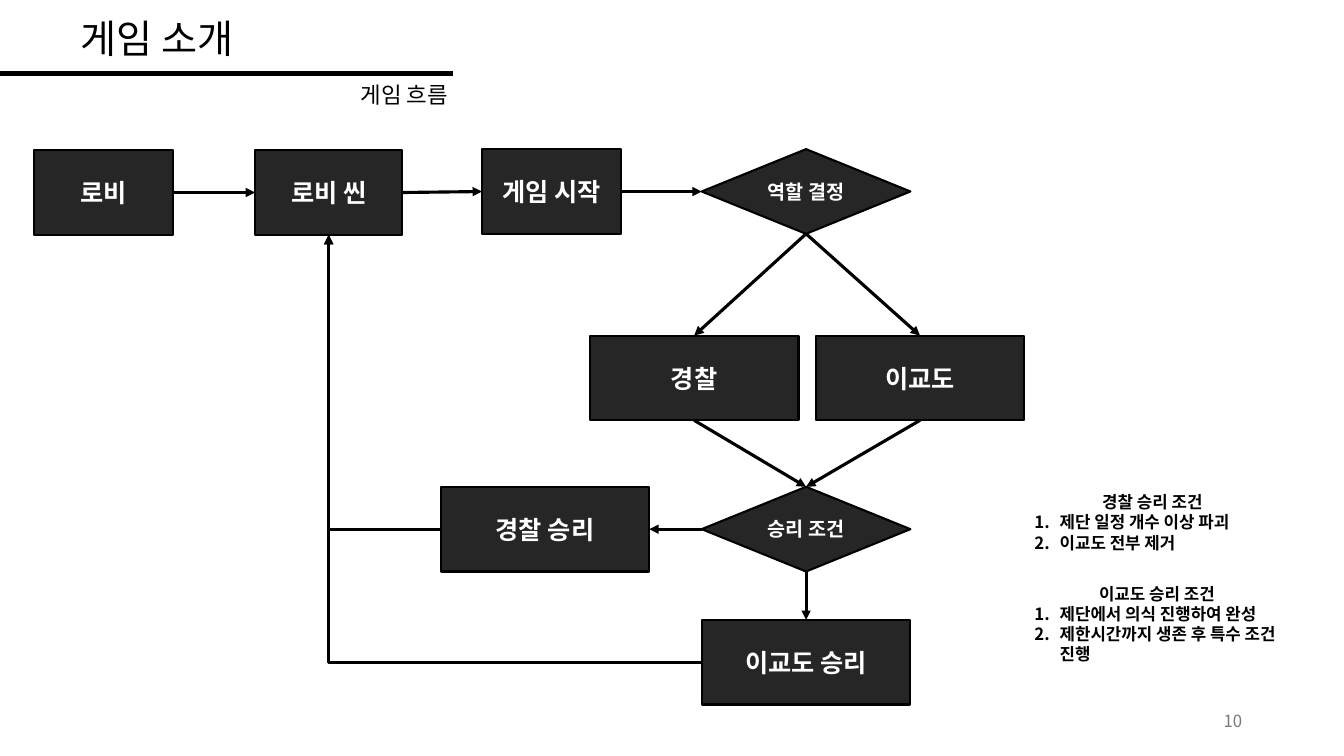
from lxml import etree
from pptx import Presentation
from pptx.dml.color import RGBColor
from pptx.enum.shapes import MSO_CONNECTOR, MSO_SHAPE
from pptx.enum.text import MSO_ANCHOR, MSO_AUTO_SIZE, PP_ALIGN
from pptx.oxml.ns import qn
from pptx.util import Inches, Pt

FONT = "Noto Sans CJK KR"
TOP, LEFT, BOTTOM, RIGHT = range(4)  # connection sites of boxes and diamonds


def add_text(paragraph, text, size, color, bold=False, align=PP_ALIGN.LEFT):
    paragraph.alignment = align
    paragraph.space_before = Pt(0)
    run = paragraph.add_run()
    run.text = text
    run.font.size = Pt(size)
    run.font.bold = bold
    run.font.color.rgb = RGBColor.from_string(color)
    run.font.name = FONT
    etree.SubElement(run.font._element, qn("a:ea"), typeface=FONT)


def add_line(kind, start, end, width, arrow=True):
    points = [Inches(value) for value in (*start, *end)]
    connector = slide.shapes.add_connector(kind, *points)
    connector.line.width = Pt(width)
    connector.line.color.rgb = RGBColor.from_string("000000")
    if arrow:
        etree.SubElement(connector.line._get_or_add_ln(), qn("a:tailEnd"), type="triangle")
    etree.SubElement(connector._element.spPr, qn("a:effectLst"))
    return connector


presentation = Presentation()
presentation.slide_width, presentation.slide_height = Inches(13.33), Inches(7.5)
slide = presentation.slides.add_slide(presentation.slide_layouts[3])  # title, two lists

# Heading
add_line(MSO_CONNECTOR.STRAIGHT, (0, 0.73), (4.49, 0.73), 3, arrow=False)
title = slide.shapes.title
title.left, title.top, title.width, title.height = map(Inches, (0.7, 0.09, 3.36, 0.57))
title.text_frame.vertical_anchor = MSO_ANCHOR.TOP
title.text_frame.auto_size = MSO_AUTO_SIZE.NONE
add_text(title.text_frame.paragraphs[0], "게임 소개", 28, "000000")

# Subtitle and page number
for text, box, size, color, align, anchor in (
    ("게임 흐름", (3.48, 0.76, 1.18, 0.37), 16, "000000", PP_ALIGN.LEFT, MSO_ANCHOR.TOP),
    ("10", (9.42, 6.95, 3, 0.4), 12, "797979", PP_ALIGN.RIGHT, MSO_ANCHOR.MIDDLE),
):
    label = slide.shapes.add_textbox(*map(Inches, box))
    label.text_frame.word_wrap = True
    label.text_frame.vertical_anchor = anchor
    add_text(label.text_frame.paragraphs[0], text, size, color, align=align)

# Flow steps: name, left, top, width
steps = {}
for name, left, top, width in (
    ("로비", 0.34, 1.49, 1.38),
    ("로비 씬", 2.53, 1.49, 1.46),
    ("게임 시작", 4.78, 1.48, 1.38),
    ("역할 결정", 6.96, 1.48, 2.07),
    ("경찰", 5.85, 3.33, 2.07),
    ("이교도", 8.09, 3.33, 2.07),
    ("승리 조건", 6.96, 4.83, 2.07),
    ("경찰 승리", 4.37, 4.83, 2.07),
    ("이교도 승리", 6.96, 6.15, 2.07),
):
    decision = name in ("역할 결정", "승리 조건")
    shape = slide.shapes.add_shape(
        MSO_SHAPE.DIAMOND if decision else MSO_SHAPE.RECTANGLE,
        Inches(left), Inches(top), Inches(width), Inches(0.84))
    shape.shadow.inherit = False
    shape.fill.solid()
    shape.fill.fore_color.rgb = RGBColor.from_string("262626")
    shape.line.color.rgb = RGBColor.from_string("000000")
    shape.line.width = Pt(1.5)
    shape.text_frame.vertical_anchor = MSO_ANCHOR.MIDDLE
    add_text(shape.text_frame.paragraphs[0], name, 14 if decision else 18,
             "FFFFFF", True, PP_ALIGN.CENTER)
    steps[name] = shape

# Straight arrows between steps
for source, source_site, target, target_site in (
    ("로비", RIGHT, "로비 씬", LEFT),
    ("로비 씬", RIGHT, "게임 시작", LEFT),
    ("게임 시작", RIGHT, "역할 결정", LEFT),
    ("역할 결정", BOTTOM, "경찰", TOP),
    ("역할 결정", BOTTOM, "이교도", TOP),
    ("경찰", BOTTOM, "승리 조건", TOP),
    ("이교도", BOTTOM, "승리 조건", TOP),
    ("승리 조건", LEFT, "경찰 승리", RIGHT),
    ("승리 조건", BOTTOM, "이교도 승리", TOP),
):
    arrow = add_line(MSO_CONNECTOR.STRAIGHT, (0, 0), (1, 1), 2.25)
    arrow.begin_connect(steps[source], source_site)
    arrow.end_connect(steps[target], target_site)

# Bent arrows back to the lobby scene: a half turn puts the start at bottom right
for corner in ((6.96, 6.57), (4.37, 5.25)):
    arrow = add_line(MSO_CONNECTOR.ELBOW, (3.26, 2.33), corner, 2.25)
    arrow._element.spPr.find(qn("a:prstGeom")).set("prst", "bentConnector2")
    arrow._element.spPr.find(qn("a:xfrm")).set("rot", "10800000")

# Win conditions
conditions = (
    ((10.16, 4.83, 2.54, 0.71), "경찰 승리 조건",
     ("제단 일정 개수 이상 파괴", "이교도 전부 제거")),
    ((10.16, 5.74, 2.63, 0.91), "이교도 승리 조건",
     ("제단에서 의식 진행하여 완성", "제한시간까지 생존 후 특수 조건 진행")),
)
for placeholder, (box, heading, items) in zip(list(slide.placeholders)[1:3], conditions):
    placeholder.left, placeholder.top, placeholder.width, placeholder.height = map(Inches, box)
    frame = placeholder.text_frame
    frame.auto_size = MSO_AUTO_SIZE.NONE
    properties = frame.paragraphs[0]._p.get_or_add_pPr()
    properties.set("marL", "0")
    properties.set("indent", "0")
    etree.SubElement(properties, qn("a:buNone"))
    add_text(frame.paragraphs[0], heading, 12, "000000", True, PP_ALIGN.CENTER)
    for item in items:
        paragraph = frame.add_paragraph()
        properties = paragraph._p.get_or_add_pPr()
        properties.set("marL", str(Inches(0.25)))
        properties.set("indent", str(-Inches(0.25)))
        etree.SubElement(properties, qn("a:buFont"), typeface=FONT)
        etree.SubElement(properties, qn("a:buAutoNum"), type="arabicPeriod")
        add_text(paragraph, item, 12, "000000", True)

presentation.save("out.pptx")
